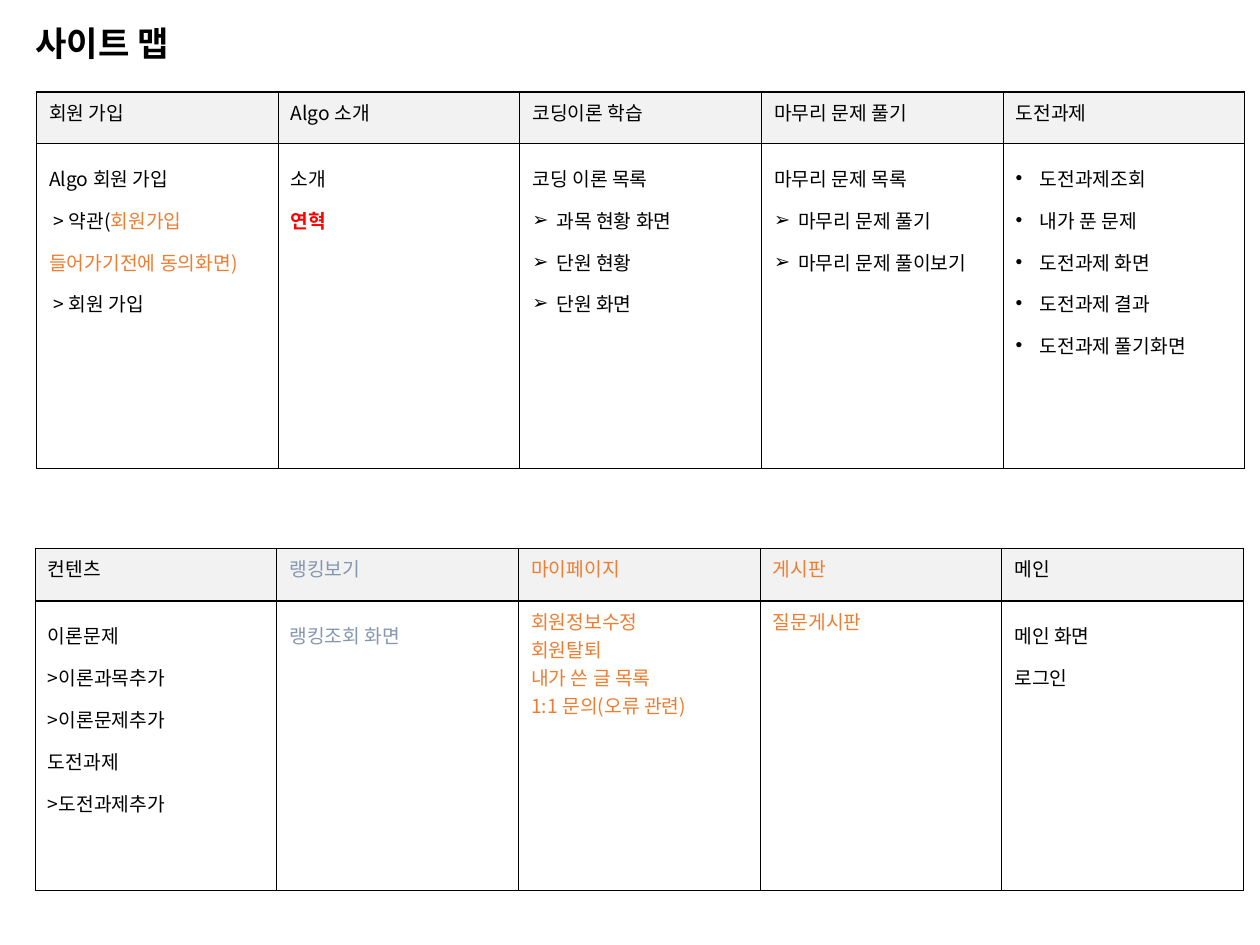
import pptx
import pptx.util
import pptx.dml.color
import pptx.enum.text
import pptx.oxml
import pptx.oxml.ns
import lxml.etree

Inches, Pt = pptx.util.Inches, pptx.util.Pt

THEME = dict(
    font="Noto Sans CJK KR", title_font="Arial", title_size=19.5, size=11,
    text="000000", orange="ED7D31", blue="8497B0", red="FF0000",
    head="F2F2F2", body="FFFFFF", border="000000", border_width=0.75,
)

# Content: each column has a heading and lines; a line is a list of (text, colour) runs or a string
TITLE = "사이트 맵"
MENU = [
    dict(head="회원 가입", lines=[
        "Algo 회원 가입",
        [(" > 약관(", "text"), ("회원가입 들어가기전에 동의화면)", "orange")],
        " > 회원 가입"]),
    dict(head="Algo 소개", lines=["소개", [("연혁", "red")]]),
    dict(head="코딩이론 학습", lines=["코딩 이론 목록"], bullet="➢",
         items=["과목 현황 화면", "단원 현황", "단원 화면"]),
    dict(head="마무리 문제 풀기", lines=["마무리 문제 목록"], bullet="➢",
         items=["마무리 문제 풀기", "마무리 문제 풀이보기"]),
    dict(head="도전과제", bullet="•",
         items=["도전과제조회", "내가 푼 문제", "도전과제 화면", "도전과제 결과", "도전과제 풀기화면"]),
]
SERVICES = [
    dict(head="컨텐츠", lines=["이론문제", ">이론과목추가", ">이론문제추가", "도전과제", ">도전과제추가"]),
    dict(head="랭킹보기", color="blue", lines=["랭킹조회 화면"]),
    dict(head="마이페이지", color="orange", spacing=None,
         lines=["회원정보수정", "회원탈퇴", "내가 쓴 글 목록", "1:1 문의(오류 관련)"]),
    dict(head="게시판", color="orange", spacing=None, lines=["질문게시판"]),
    dict(head="메인", lines=["메인 화면", "로그인"]),
]
# Left, top, heading height, body height, columns
TABLES = [
    (0.29, 0.73, 0.41, 2.58, MENU),
    (0.28, 4.35, 0.42, 2.3, SERVICES),
]
TABLE_WIDTH = 9.59
BULLET_INDENT = 0.19


def rgb(name):
    return pptx.dml.color.RGBColor.from_string(THEME[name])


def add_bullet(p, char):
    ppr = p._p.get_or_add_pPr()
    ppr.set("marL", str(Inches(BULLET_INDENT)))
    ppr.set("indent", str(-Inches(BULLET_INDENT)))
    font = lxml.etree.SubElement(ppr, pptx.oxml.ns.qn("a:buFont"))
    font.set("typeface", "Arial")
    lxml.etree.SubElement(ppr, pptx.oxml.ns.qn("a:buChar")).set("char", char)


def write(p, text, color="text", size=THEME["size"], font=THEME["font"],
          bold=False, spacing=None, bullet=None):
    """Write a string or a list of (text, colour) runs into a paragraph."""
    if bullet:
        add_bullet(p, bullet)
    if spacing:
        p.line_spacing = spacing
    for part, tone in [(text, color)] if isinstance(text, str) else text:
        r = p.add_run()
        r.text = part
        r.font.name, r.font.size = font, Pt(size)
        r.font.bold = bold or tone == "red"
        r.font.color.rgb = rgb(tone)
        ea = lxml.etree.SubElement(r.font._element, pptx.oxml.ns.qn("a:ea"))
        ea.set("typeface", THEME["font"])


def style_cell(cell, fill):
    tcpr = cell._tc.get_or_add_tcPr()
    for side in ("lnL", "lnR", "lnT", "lnB"):
        tcpr.append(pptx.oxml.parse_xml(
            f'<a:{side} {pptx.oxml.ns.nsdecls("a")} w="{Pt(THEME["border_width"])}">'
            f'<a:solidFill><a:srgbClr val="{THEME["border"]}"/></a:solidFill></a:{side}>'))
    cell.fill.solid()
    cell.fill.fore_color.rgb = rgb(fill)


def add_site_table(s, left, top, head_height, body_height, columns):
    table = s.shapes.add_table(
        2, len(columns), Inches(left), Inches(top),
        Inches(TABLE_WIDTH), Inches(head_height + body_height)).table
    table.rows[0].height = Inches(head_height)
    table.rows[1].height = Inches(body_height)
    for i, column in enumerate(columns):
        table.columns[i].width = Inches(TABLE_WIDTH / len(columns))
        head, body = table.cell(0, i), table.cell(1, i)
        style_cell(head, "head")
        style_cell(body, "body")
        color = column.get("color", "text")
        write(head.text_frame.paragraphs[0], column["head"], color=color)
        lines = [(line, None) for line in column.get("lines", [])]
        lines += [(item, column["bullet"]) for item in column.get("items", [])]
        tf = body.text_frame
        for n, (line, bullet) in enumerate(lines):
            p = tf.add_paragraph() if n else tf.paragraphs[0]
            write(p, line, color=color, bullet=bullet, spacing=column.get("spacing", 1.5))


def main():
    prs = pptx.Presentation()
    prs.slide_width, prs.slide_height = Inches(10), Inches(7.5)
    s = prs.slides.add_slide(prs.slide_layouts[6])

    # Site map tables
    for spec_row in TABLES:
        add_site_table(s, *spec_row)

    # Title
    tf = s.shapes.add_textbox(Inches(0.28), 0, Inches(6.54), Inches(0.68)).text_frame
    tf.word_wrap = True
    tf.vertical_anchor = pptx.enum.text.MSO_ANCHOR.MIDDLE
    tf.margin_left = tf.margin_right = tf.margin_top = tf.margin_bottom = 0
    write(tf.paragraphs[0], TITLE, size=THEME["title_size"], font=THEME["title_font"], bold=True)

    prs.save("out.pptx")


if __name__ == "__main__":
    main()
